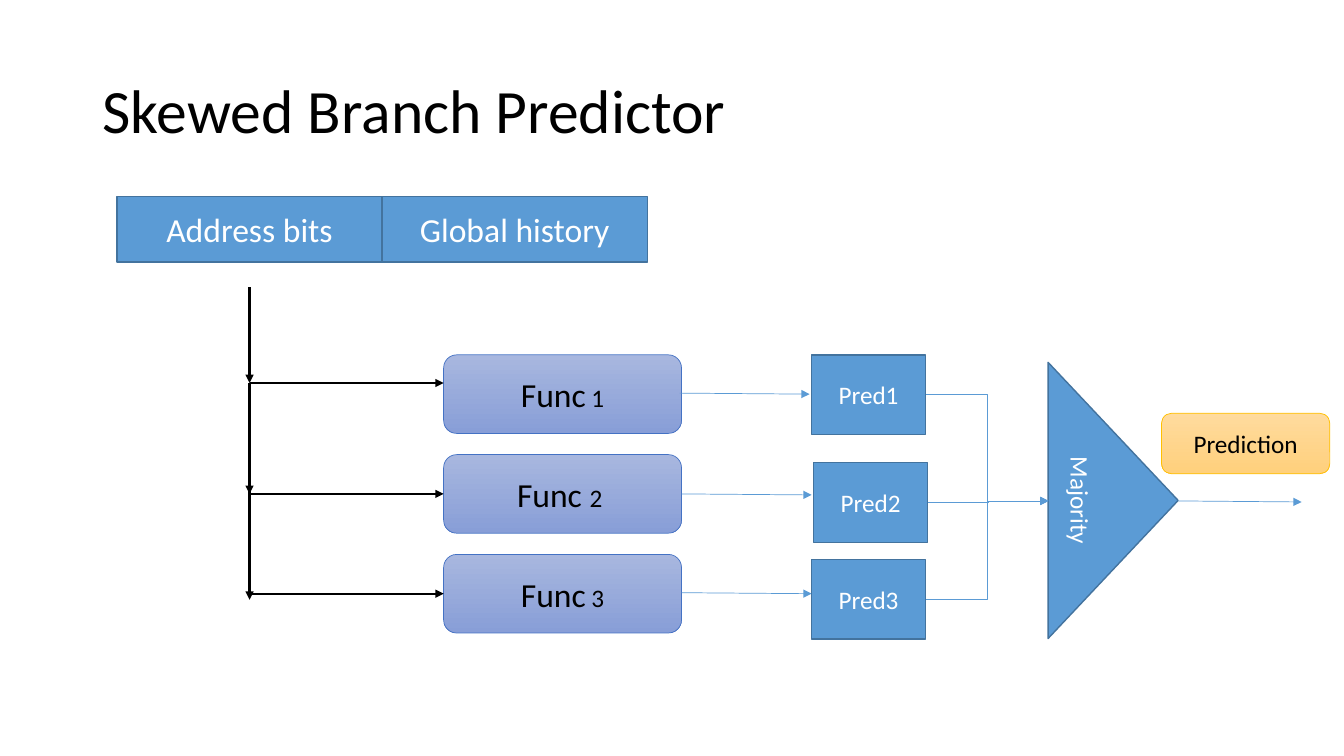
from pptx import Presentation
from pptx.dml.color import RGBColor
from pptx.enum.shapes import MSO_CONNECTOR as Link, MSO_SHAPE as Shape
from pptx.enum.text import MSO_ANCHOR as Anchor, PP_ALIGN as Align
from pptx.oxml.ns import qn
from pptx.util import Inches, Pt
from lxml.etree import SubElement

COLORS = {
    "black": "000000", "white": "FFFFFF",
    "blue": "5B9BD5", "blue edge": "43739E",
    "func top": "A8B7DF", "func bottom": "889ED7", "func edge": "4472C4",
    "gold top": "FFDB9E", "gold bottom": "FFD07C", "gold edge": "FFC000",
}
FONT = "Calibri"
TITLE = "Skewed Branch Predictor"
INPUTS = ["Address bits", "Global history"]
FUNCTIONS = [("Func", " 1"), ("Func ", "2 "), ("Func", " 3")]
PREDICTORS = [("Pred1", 8.05, 3.52), ("Pred2", 8.07, 4.59), ("Pred3", 8.05, 5.55)]
TRUNK = [(2.85, 3.8), (3.8, 4.9), (4.82, 5.95)]
BRANCH_ROWS = [3.8, 4.9, 5.89]
LOOKUPS = [(6.74, 3.9), (6.76, 4.9), (6.76, 5.88)]

INPUT_LEFT, INPUT_TOP, INPUT_WIDTH, INPUT_HEIGHT = 1.16, 1.95, 2.63, 0.65
FUNC_LEFT, FUNC_TOP, FUNC_WIDTH, FUNC_HEIGHT, FUNC_PITCH = 4.4, 3.52, 2.36, 0.78, 0.99
PRED_WIDTH, PRED_HEIGHT = 1.13, 0.79
TRUNK_X = INPUT_LEFT + INPUT_WIDTH / 2
LOOKUP_WIDTH, DRIFT = 1.29, 0.01
VOTE_LEFT, VOTE_RIGHT, VOTE_Y = 10.4, 11.69, 4.97

deck = Presentation()
deck.slide_width, deck.slide_height = Inches(13.33), Inches(7.5)
slide = deck.slides.add_slide(deck.slide_layouts[6])


def color(name):
    return RGBColor.from_string(COLORS[name])


def write(box, *runs, ink="white", align=Align.CENTER, spacing=None):
    frame = box.text_frame
    frame.word_wrap = True
    frame.vertical_anchor = Anchor.MIDDLE
    para = frame.paragraphs[0]
    para.alignment = align
    if spacing:
        para.line_spacing = spacing
    for text, size in runs:
        span = para.add_run()
        span.text = text
        span.font.name, span.font.size = FONT, Pt(size)
        span.font.color.rgb = color(ink)


def add_box(kind, left, top, width, height, *runs, fill=("blue",), edge="blue edge",
            weight=1, ink="white", turn=0):
    box = slide.shapes.add_shape(kind, *map(Inches, (left, top, width, height)))
    box.shadow.inherit = False
    box.rotation = turn
    if len(fill) == 1:
        box.fill.solid()
        box.fill.fore_color.rgb = color(fill[0])
    else:
        box.fill.gradient()
        box.fill.gradient_angle = 270
        for stop, name, position in zip(box.fill.gradient_stops, fill, (0, 1)):
            stop.color.rgb = color(name)
            stop.position = position
    box.line.color.rgb = color(edge)
    box.line.width = Pt(weight)
    write(box, *runs, ink=ink)


def add_arrow(start, end, ink="blue", weight=0.5, kind=Link.STRAIGHT):
    arrow = slide.shapes.add_connector(kind, *map(Inches, (*start, *end)))
    arrow.line.color.rgb = color(ink)
    arrow.line.width = Pt(weight)
    SubElement(arrow.line._get_or_add_ln(), qn("a:tailEnd"), type="triangle")
    SubElement(arrow._element.spPr, qn("a:effectLst"))


title = slide.shapes.add_textbox(*map(Inches, (0.92, 0.4, 11.5, 1.45)))
write(title, (TITLE, 44), ink="black", align=Align.LEFT, spacing=0.9)

for column, label in enumerate(INPUTS):
    add_box(Shape.RECTANGLE, INPUT_LEFT + column * INPUT_WIDTH, INPUT_TOP,
            INPUT_WIDTH, INPUT_HEIGHT, (label, 24))

for row, (name, number) in enumerate(FUNCTIONS):
    add_box(Shape.ROUNDED_RECTANGLE, FUNC_LEFT, FUNC_TOP + row * FUNC_PITCH,
            FUNC_WIDTH, FUNC_HEIGHT, (name, 24), (number, 18),
            fill=("func top", "func bottom"), edge="func edge", weight=0.5, ink="black")

for (top, bottom), y in zip(TRUNK, BRANCH_ROWS):
    add_arrow((TRUNK_X, top), (TRUNK_X, bottom), ink="black", weight=1.5)
    add_arrow((TRUNK_X, y), (FUNC_LEFT, y), ink="black", weight=1.5)

for x, y in LOOKUPS:
    add_arrow((x, y), (x + LOOKUP_WIDTH, y + DRIFT))

for label, left, top in PREDICTORS:
    add_box(Shape.RECTANGLE, left, top, PRED_WIDTH, PRED_HEIGHT, (label, 18))

add_box(Shape.ISOSCELES_TRIANGLE, 9.67, 4.32, 2.74, VOTE_RIGHT - VOTE_LEFT,
        ("Majority", 18), turn=90)

for label, left, top in PREDICTORS:
    add_arrow((left + PRED_WIDTH, top + PRED_HEIGHT / 2), (VOTE_LEFT, VOTE_Y), kind=Link.ELBOW)

add_arrow((VOTE_RIGHT, VOTE_Y), (12.91, VOTE_Y + DRIFT))
add_box(Shape.ROUNDED_RECTANGLE, 11.52, 4.1, 1.67, 0.6, ("Prediction", 18),
        fill=("gold top", "gold bottom"), edge="gold edge", weight=0.5, ink="black")

deck.save("out.pptx")
